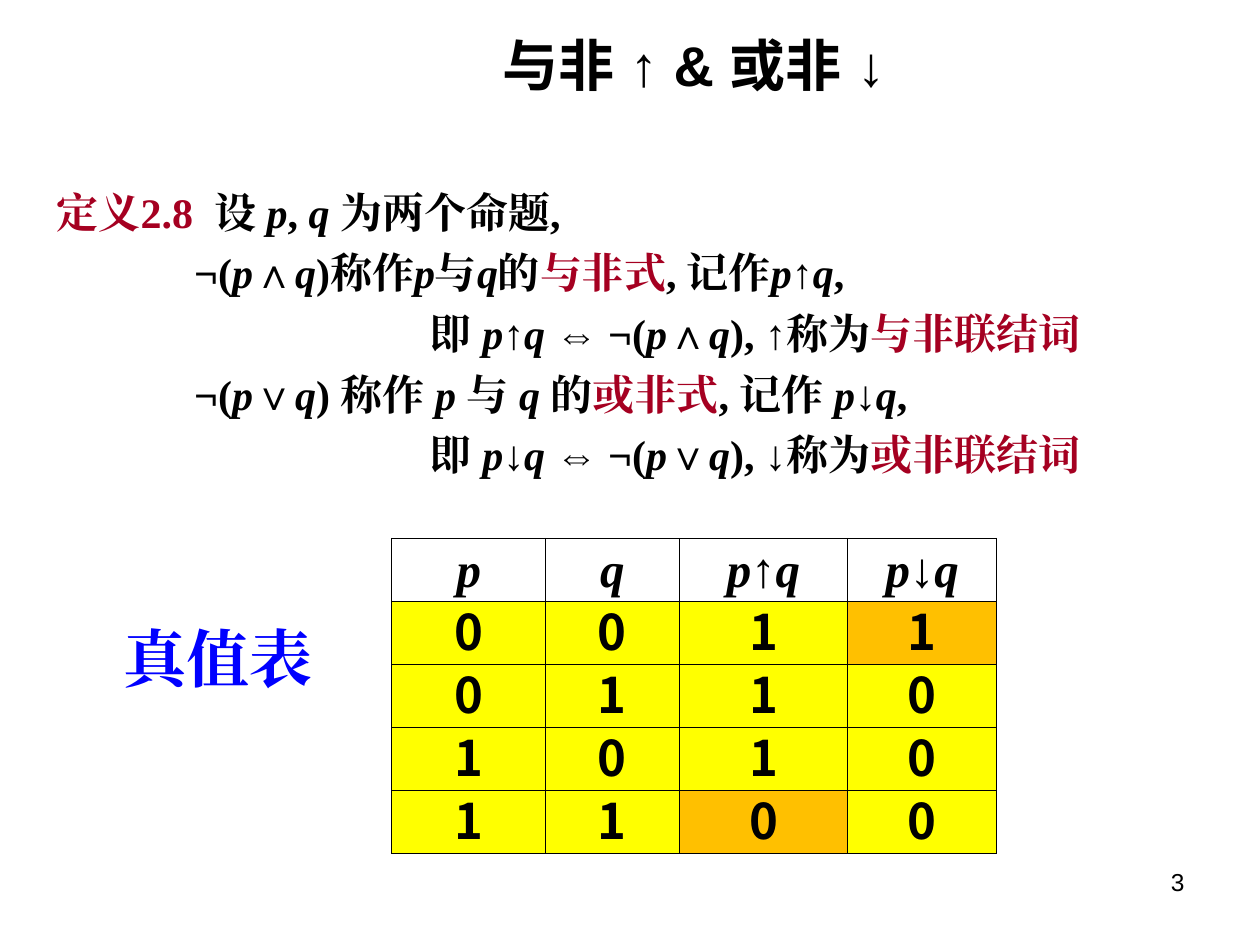
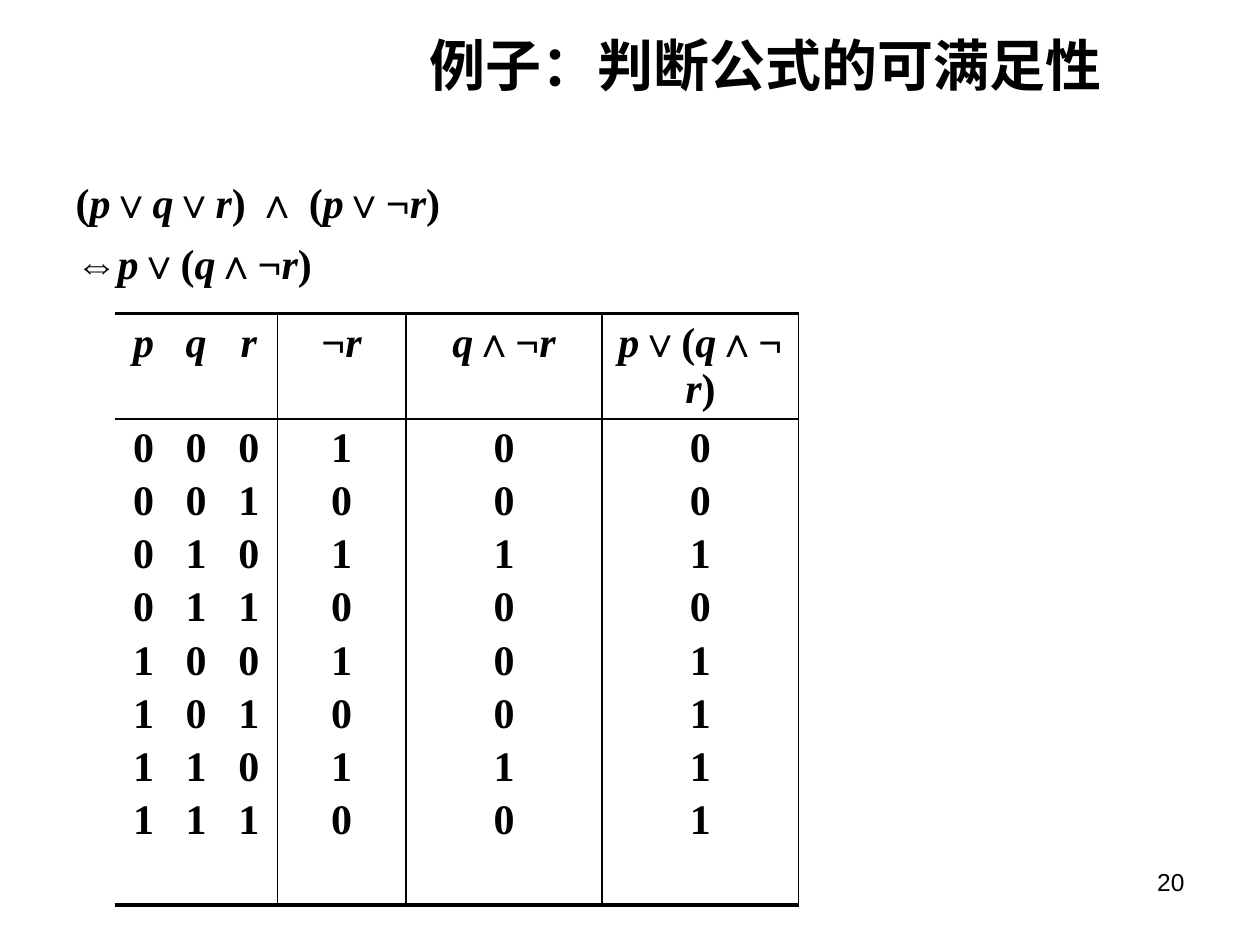
from itertools import groupby, product

from lxml.etree import SubElement
from pptx import Presentation
from pptx.dml.color import RGBColor
from pptx.enum.text import MSO_ANCHOR as Anchor, MSO_AUTO_SIZE as AutoSize, PP_ALIGN as Align
from pptx.oxml.ns import qn
from pptx.util import Cm, Pt

COLOURS = {
    "ink": "000000",
    "term": "A50021",
    "label": "0000FF",
    "value": "FFFF00",
    "special": "FFC000",
}
SERIF, SANS, CJK = "Times New Roman", "Arial", "Noto Sans CJK SC"
TITLE = {"name": SANS, "size": Pt(32), "bold": True}
BODY = {"name": SERIF, "size": Pt(24), "bold": True}
LABEL = {"name": SERIF, "size": Pt(36), "bold": True}
NUMBER = {"name": SANS, "size": Pt(14), "bold": False}
HEADING = {"name": SERIF, "size": Pt(28), "bold": True}
DIGIT = {"name": CJK, "size": Pt(28), "bold": True}


def write(frame, lines, font, align=Align.LEFT, gap=0, colour="ink"):
    """Fill a frame: p, q and r turn italic, text between bars is a defined term."""
    for row, line in enumerate(lines):
        paragraph = frame.add_paragraph() if row else frame.paragraphs[0]
        paragraph.alignment = align
        paragraph.space_before = Pt(gap if row else 0)
        for part, piece in enumerate(line.split("|")):
            for is_variable, letters in groupby(piece, lambda letter: letter in "pqr"):
                run = paragraph.add_run()
                run.text = "".join(letters)
                for attribute, value in font.items():
                    setattr(run.font, attribute, value)
                run.font.italic = is_variable
                run.font.color.rgb = RGBColor.from_string(COLOURS["term" if part % 2 else colour])
                SubElement(run._r.get_or_add_rPr(), qn("a:ea"), typeface=font["name"])


def draw_borders(cell, **widths):
    """Draw the named sides (L, R, T, B) in points; sides left out get no line."""
    properties = cell._tc.get_or_add_tcPr()
    for side in "LRTB":
        line = SubElement(properties, qn(f"a:ln{side}"), w=str(Pt(widths.get(side, 0))))
        if side in widths:
            fill = SubElement(line, qn("a:solidFill"))
            SubElement(fill, qn("a:srgbClr"), val=COLOURS["ink"])
        else:
            SubElement(line, qn("a:noFill"))


pages = [
    {
        "title": "与非 ↑ & 或非 ↓",
        "title_align": Align.CENTER,
        "number": "3",
        "body_box": (0.89, 3.63, 23.01, 5.41),
        "body": [
            (0, "|定义2.8  |设 p, q 为两个命题,"),
            (2.77, "¬(p∧q)称作p与q的|与非式|, 记作p↑q,"),
            (7.52, "即 p↑q ⇔ ¬(p∧q), ↑称为|与非联结词|"),
            (2.77, "¬(p∨q) 称作 p 与 q 的|或非式|, 记作 p↓q,"),
            (7.52, "即 p↓q ⇔ ¬(p∨q), ↓称为|或非联结词|"),
        ],
        "table_at": (7.9, 10.85),
        "columns": (3.1, 2.69, 3.4, 3),
        "rows": (1.27,) * 5,
    },
    {
        "title": "例子：判断公式的可满足性",
        "title_align": Align.RIGHT,
        "number": "20",
        "body_box": (1.27, 3.43, 22.86, 2.6),
        "body": [(0, "(p∨q∨r) ∧ (p∨¬r)"), (0, "⇔p∨(q∧¬r)")],
        "table_at": (2.31, 6.32),
        "columns": (3.28, 2.59, 3.96, 3.96),
        "rows": (1.42, 9.8),
    },
]

deck = Presentation()
deck.slide_width, deck.slide_height = Cm(25.4), Cm(19.05)
slides, tables = [], []

for page in pages:
    slide = deck.slides.add_slide(deck.slide_layouts[1])
    title, body = slide.placeholders
    number = slide.shapes.add_textbox(0, 0, 0, 0)
    boxes = (
        (title, (5.49, 0.71, 16.99, 1.17)),
        (body, page["body_box"]),
        (number, (18.21, 17.35, 5.92, 1.32)),
    )
    for holder, box in boxes:
        holder.left, holder.top, holder.width, holder.height = map(Cm, box)
        holder.text_frame.word_wrap = True
        holder.text_frame.auto_size = AutoSize.NONE
    title.text_frame.vertical_anchor = Anchor.MIDDLE
    write(title.text_frame, [page["title"]], TITLE, page["title_align"])
    write(body.text_frame, [line for _, line in page["body"]], BODY, gap=5.8)
    for paragraph, (indent, _) in zip(body.text_frame.paragraphs, page["body"]):
        properties = paragraph._p.get_or_add_pPr()
        properties.set("marL", str(Cm(indent)))
        properties.set("indent", "0")
        SubElement(properties, qn("a:buNone"))
    write(number.text_frame, [page["number"]], NUMBER, Align.RIGHT)

    columns, rows = page["columns"], page["rows"]
    table = slide.shapes.add_table(
        len(rows), len(columns), *map(Cm, page["table_at"]), Cm(sum(columns)), Cm(sum(rows))
    ).table
    table.first_row = table.horz_banding = False
    for column, width in zip(table.columns, columns):
        column.width = Cm(width)
    for row, height in zip(table.rows, rows):
        row.height = Cm(height)
    slides.append(slide)
    tables.append(table)

# Slide 1: truth table of the two connectives
caption = slides[0].shapes.add_textbox(Cm(2.24), Cm(12.36), Cm(6.1), Cm(1.78))
caption.text_frame.word_wrap = True
write(caption.text_frame, ["真值表"], LABEL, colour="label")

connectives = [("p", "q", "p↑q", "p↓q")]
connectives += [(p, q, 1 - (p & q), 1 - (p | q)) for p, q in product((0, 1), repeat=2)]
special_cells = {(1, 3), (4, 2)}
cell_format = {
    "margin_left": Cm(0.03),
    "margin_right": Cm(0.03),
    "margin_top": Cm(0.03),
    "margin_bottom": 0,
    "vertical_anchor": Anchor.MIDDLE,
}
for row, values in enumerate(connectives):
    for column, value in enumerate(values):
        cell = tables[0].cell(row, column)
        for attribute, setting in cell_format.items():
            setattr(cell, attribute, setting)
        draw_borders(cell, L=0.5, R=0.5, T=0.5, B=0.5)
        write(cell.text_frame, [str(value)], DIGIT if row else HEADING, Align.CENTER)
        if row:
            cell.fill.solid()
            shade = "special" if (row, column) in special_cells else "value"
            cell.fill.fore_color.rgb = RGBColor.from_string(COLOURS[shade])
            cell.text_frame.paragraphs[0].line_spacing = Pt(35)
        else:
            cell.fill.background()

# Slide 2: truth table of the formula, all assignments in one row
headings = ("\tp\tq\tr", "¬r", "q∧¬r", "p∨(q∧¬r)")
assignments = list(product((0, 1), repeat=3))
results = (
    [f"\t{p}\t{q}\t{r}" for p, q, r in assignments],
    [str(1 - r) for p, q, r in assignments],
    [str(q & 1 - r) for p, q, r in assignments],
    [str(p | q & 1 - r) for p, q, r in assignments],
)
for column, (heading, values) in enumerate(zip(headings, results)):
    left_side = {"L": 1} if column else {}
    for row, lines in enumerate(([heading], values)):
        cell = tables[1].cell(row, column)
        draw_borders(cell, R=1, T=1 if row else 2.25, B=2.25 if row else 1, **left_side)
        cell.fill.background()
        align = Align.CENTER if column else Align.LEFT
        write(cell.text_frame, lines, BODY, align, gap=3.8)
        if column == 0:
            for paragraph in cell.text_frame.paragraphs:
                stops = SubElement(paragraph._p.get_or_add_pPr(), qn("a:tabLst"))
                for variable in range(3):
                    position = Cm(0.33 + 1.06 * variable)
                    SubElement(stops, qn("a:tab"), pos=str(position), algn="ctr")

deck.save("out.pptx")
